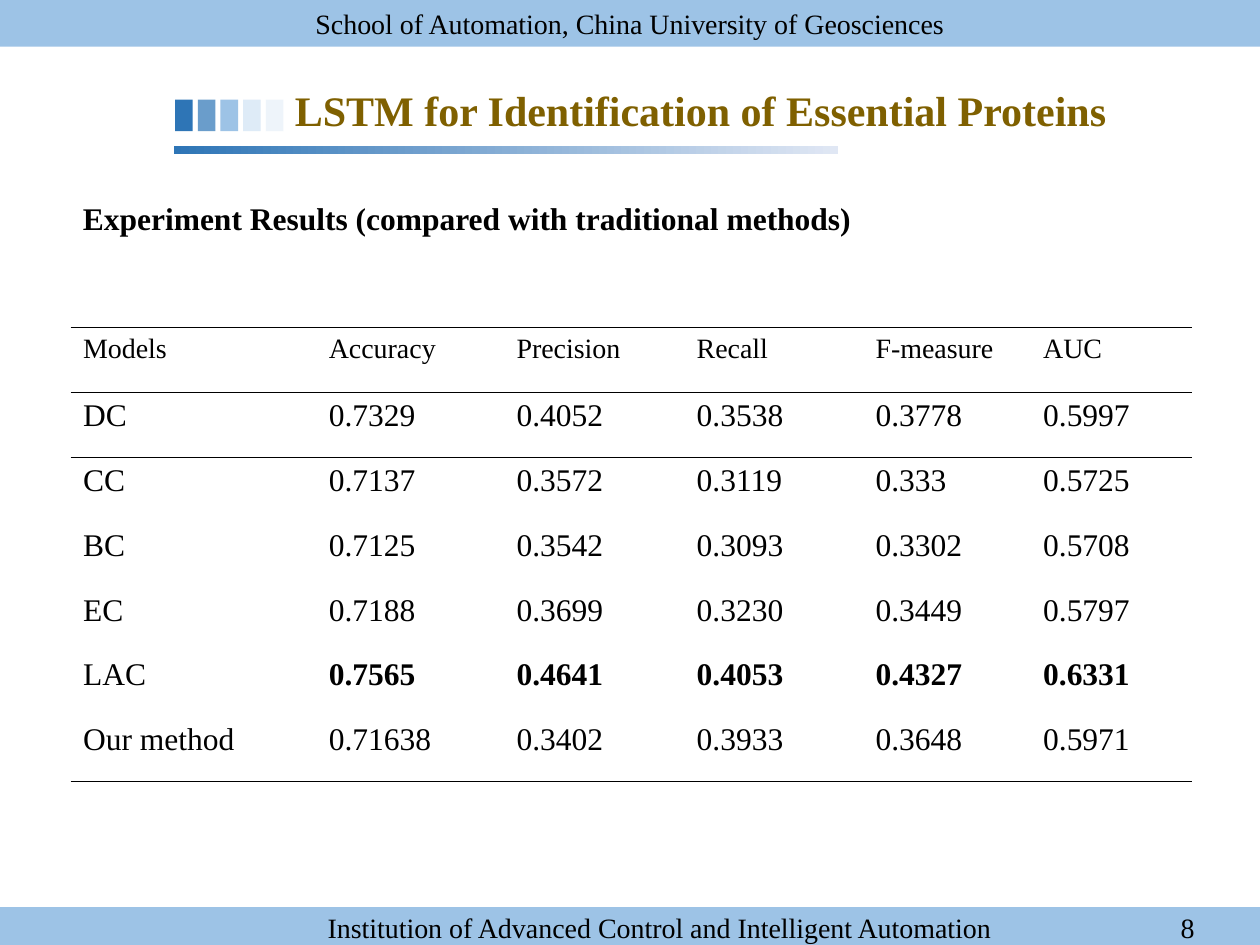
import dataclasses

import lxml.etree
import pptx
import pptx.dml.color
import pptx.enum.shapes
import pptx.enum.text
import pptx.oxml.ns
import pptx.util

Inches = pptx.util.Inches
Align = pptx.enum.text.PP_ALIGN
Anchor = pptx.enum.text.MSO_ANCHOR
qn = pptx.oxml.ns.qn


@dataclasses.dataclass(frozen=True)
class Theme:
    """Colours, font, type sizes and line width of the slide."""
    font: str = "Times New Roman"
    band: str = "9DC3E6"
    accent: str = "2E75B6"
    pale: str = "DEEBF7"
    fade: str = "E0E7F4"
    title: str = "7F6000"
    text: str = "000000"
    paper: str = "FFFFFF"
    title_size: int = 24
    body_size: int = 18
    small_size: int = 16
    rule: float = 0.45


THEME = Theme()
NO_GRID_STYLE = "{2D5ABB26-0587-4C30-8999-92F81FD0307C}"
COLUMN_WIDTHS = (1.95, 1.49, 1.43, 1.42, 1.33, 1.28)
RESULTS = (
    ("Models", "Accuracy", "Precision", "Recall", "F-measure", "AUC"),
    ("DC", "0.7329", "0.4052", "0.3538", "0.3778", "0.5997"),
    ("CC", "0.7137", "0.3572", "0.3119", "0.333", "0.5725"),
    ("BC", "0.7125", "0.3542", "0.3093", "0.3302", "0.5708"),
    ("EC", "0.7188", "0.3699", "0.3230", "0.3449", "0.5797"),
    ("LAC", "0.7565", "0.4641", "0.4053", "0.4327", "0.6331"),
    ("Our method", "0.71638", "0.3402", "0.3933", "0.3648", "0.5971"),
)
BEST_MODEL = "LAC"


def rgb(color):
    """Turn a hexadecimal string into a colour."""
    return pptx.dml.color.RGBColor.from_string(color)


def write(text_frame, text, size=THEME.body_size, color=THEME.text, bold=False,
          align=Align.LEFT, anchor=Anchor.TOP):
    """Write one formatted paragraph into a text frame."""
    text_frame.word_wrap = True
    text_frame.auto_size = pptx.enum.text.MSO_AUTO_SIZE.NONE
    text_frame.vertical_anchor = anchor
    paragraph = text_frame.paragraphs[0]
    paragraph.text = text
    paragraph.alignment = align
    paragraph.line_spacing = 1.0
    font = paragraph.runs[0].font
    font.name, font.size, font.bold = THEME.font, pptx.util.Pt(size), bold
    font.color.rgb = rgb(color)


def add_text(slide, box, text, **style):
    """Add a text box at the given box in inches."""
    shape = slide.shapes.add_textbox(*map(Inches, box))
    write(shape.text_frame, text, **style)


def add_block(slide, box, color, opacity=100):
    """Add a plain rectangle without outline or shadow."""
    shape = slide.shapes.add_shape(
        pptx.enum.shapes.MSO_SHAPE.RECTANGLE, *map(Inches, box))
    shape.shadow.inherit = False
    shape.line.fill.background()
    shape.fill.solid()
    shape.fill.fore_color.rgb = rgb(color)
    if opacity < 100:
        color_element = shape.fill._xPr.find(".//" + qn("a:srgbClr"))
        lxml.etree.SubElement(color_element, qn("a:alpha"), val=str(opacity * 1000))
    return shape


def add_header(slide, box):
    """Add the band with the school name."""
    band = add_block(slide, box, THEME.band)
    write(band.text_frame, "School of Automation, China University of Geosciences",
          size=THEME.small_size, align=Align.CENTER, anchor=Anchor.MIDDLE)


def add_footer(slide, box):
    """Add the band with the institution name and the page number."""
    left, top, width, height = box
    add_block(slide, box, THEME.band)
    style = {"size": THEME.small_size, "anchor": Anchor.MIDDLE}
    text_top, text_height = top - 0.04, height + 0.1
    add_text(slide, (left + 2.15, text_top, 6.17, text_height),
             "Institution of Advanced Control and Intelligent Automation",
             align=Align.CENTER, **style)
    add_text(slide, (left + width - 1.05, text_top, 0.63, text_height), "8",
             align=Align.RIGHT, **style)


def add_title(slide, box):
    """Add the fading squares, the gradient rule and the title."""
    left, top, width, height = box
    squares = ((THEME.accent, 100), (THEME.accent, 71), (THEME.band, 100),
               (THEME.pale, 100), (THEME.pale, 50))
    for index, (color, opacity) in enumerate(squares):
        add_block(slide, (left + 0.01 + index * 0.18, top + 0.17, 0.14, 0.25),
                  color, opacity)
    rule = add_block(slide, (left, top + height - 0.06, 5.27, 0.06), THEME.accent)
    rule.fill.gradient()
    rule.fill.gradient_angle = 0
    for stop, color in zip(rule.fill.gradient_stops, (THEME.accent, THEME.fade)):
        stop.color.rgb = rgb(color)
    title = slide.shapes.title
    title.left, title.top = Inches(left + 0.86), Inches(top)
    title.width, title.height = Inches(width - 0.86), Inches(0.5)
    write(title.text_frame, "LSTM for Identification of Essential Proteins",
          size=THEME.title_size, color=THEME.title, bold=True)


def add_border(cell, side):
    """Draw a rule along the top (T) or bottom (B) of a cell."""
    line = lxml.etree.SubElement(cell._tc.get_or_add_tcPr(), qn(f"a:ln{side}"),
                                 w=str(pptx.util.Pt(THEME.rule)))
    fill = lxml.etree.SubElement(line, qn("a:solidFill"))
    lxml.etree.SubElement(fill, qn("a:srgbClr"), val=THEME.text)


def add_results(slide, box):
    """Add the table of results with rules around header and body."""
    last = len(RESULTS) - 1
    frame = slide.shapes.add_table(len(RESULTS), len(COLUMN_WIDTHS), *map(Inches, box))
    table = frame.table
    table.first_row = table.horz_banding = False
    frame._element.find(".//" + qn("a:tableStyleId")).text = NO_GRID_STYLE
    for column, width in zip(table.columns, COLUMN_WIDTHS):
        column.width = Inches(width)
    for row_index, row in enumerate(RESULTS):
        for column_index, value in enumerate(row):
            cell = table.cell(row_index, column_index)
            write(cell.text_frame, value,
                  size=THEME.body_size if row_index else THEME.small_size,
                  bold=row[0] == BEST_MODEL and column_index > 0)
            if row_index in (0, 1):
                add_border(cell, "T")
            if row_index in (0, last):
                add_border(cell, "B")
            cell.fill.solid()
            cell.fill.fore_color.rgb = rgb(THEME.paper)


def main():
    """Build the slide and save it."""
    presentation = pptx.Presentation()
    presentation.slide_width, presentation.slide_height = Inches(10), Inches(7.5)
    slide = presentation.slides.add_slide(presentation.slide_layouts[5])
    add_header(slide, (0, 0, 10, 0.37))
    add_footer(slide, (0, 7.2, 10, 0.3))
    add_title(slide, (1.38, 0.62, 8.62, 0.6))
    add_text(slide, (0.56, 1.53, 8.2, 1),
             "Experiment Results (compared with traditional methods)", bold=True)
    add_results(slide, (0.56, 2.6, 8.9, 3.6))
    presentation.save("out.pptx")


if __name__ == "__main__":
    main()
